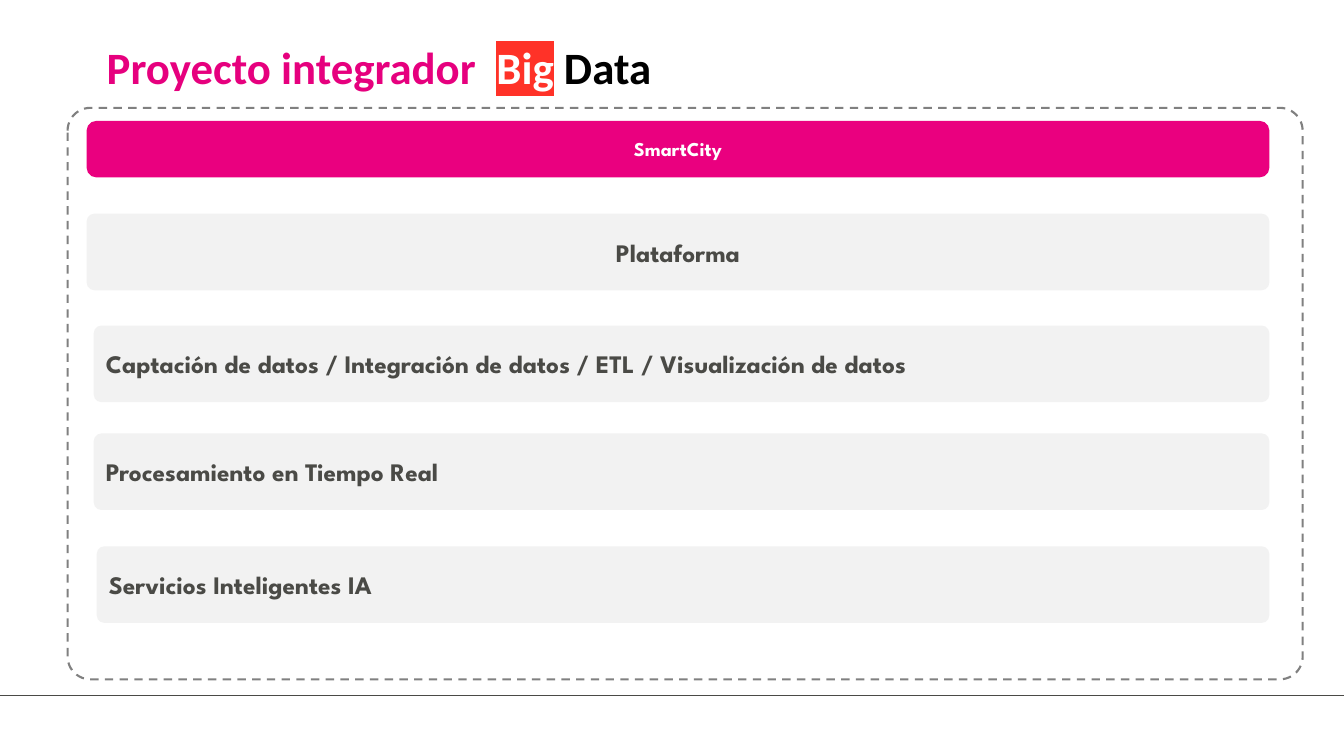
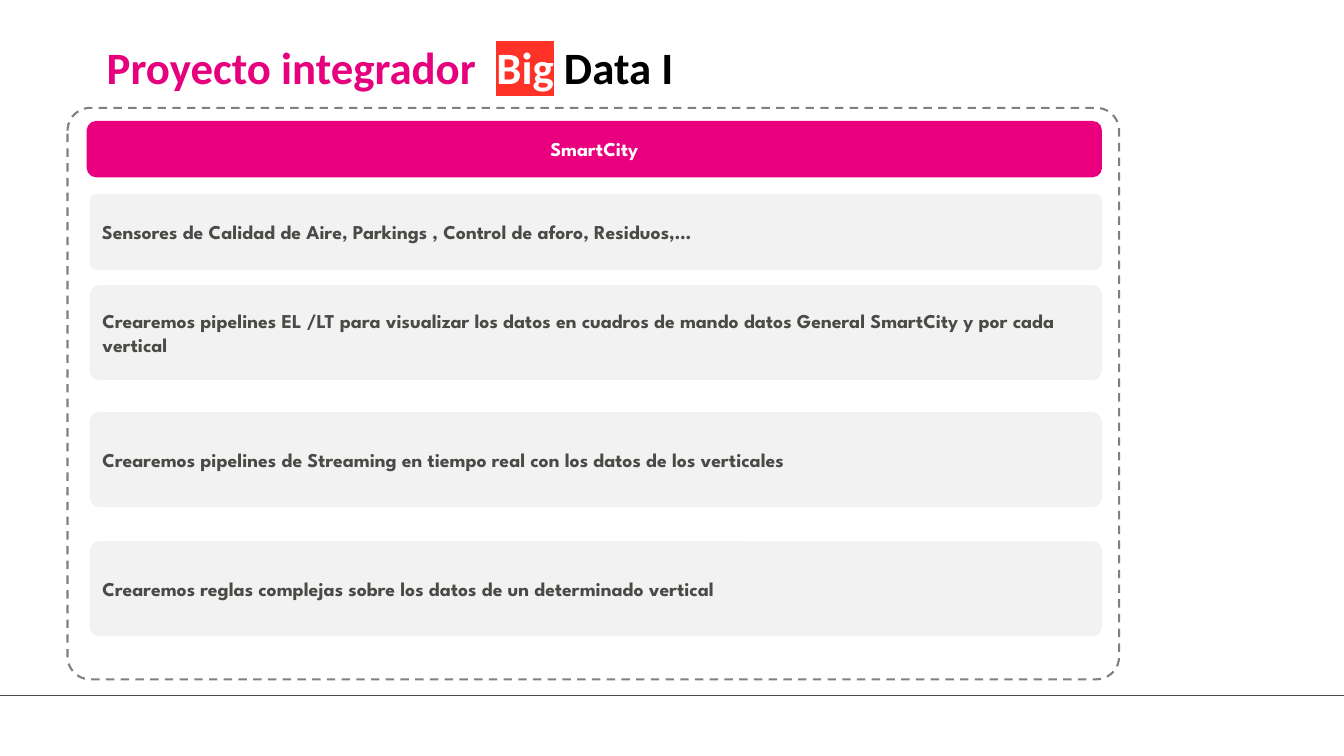
from lxml import etree
from pptx import Presentation
from pptx.dml.color import RGBColor
from pptx.enum.dml import MSO_LINE
from pptx.enum.shapes import MSO_CONNECTOR, MSO_SHAPE
from pptx.enum.text import MSO_ANCHOR, PP_ALIGN
from pptx.oxml.ns import qn
from pptx.util import Inches, Pt

ROUNDED = MSO_SHAPE.ROUNDED_RECTANGLE
LEFT, CENTER = PP_ALIGN.LEFT, PP_ALIGN.CENTER
COLORS = {
    "title": "E6007E",
    "band": "EA007F",
    "highlight": "FF3228",
    "white": "FFFFFF",
    "black": "000000",
    "bar": "F2F2F2",
    "text": "4A4A46",
    "frame": "808080",
    "rule": "4A4A46",
}
TITLE_FONT, BODY_FONT = "Calibri", "League Spartan"


def rgb(name):
    return RGBColor.from_string(COLORS[name])


def add_bar(s, box, radius, fill, text, size, color, align):
    """Add a rounded bar with one bold paragraph."""
    sp = s.shapes.add_shape(ROUNDED, *[Inches(v) for v in box])
    sp.shadow.inherit = False
    sp.adjustments[0] = radius
    sp.fill.solid()
    sp.fill.fore_color.rgb = rgb(fill)
    sp.line.fill.background()
    tf = sp.text_frame
    tf.word_wrap = True
    tf.vertical_anchor = MSO_ANCHOR.MIDDLE
    p = tf.paragraphs[0]
    p.text = text
    p.alignment = align
    p.font.name, p.font.size, p.font.bold = BODY_FONT, Pt(size), True
    p.font.color.rgb = rgb(color)


# Bars: left, top, height, alignment, text
SLIDES = [
    {
        "title_end": " Data", "frame_width": 12.25, "right": 12.59, "size": 18,
        "bars": [
            (0.86, 2.12, 0.76, CENTER, "Plataforma"),
            (0.93, 3.23, 0.76, LEFT,
             "Captación de datos / Integración de datos / ETL / Visualización de datos"),
            (0.93, 4.3, 0.76, LEFT, "Procesamiento en Tiempo Real"),
            (0.96, 5.42, 0.76, LEFT, "Servicios Inteligentes IA"),
        ],
    },
    {
        "title_end": " Data I", "frame_width": 10.43, "right": 10.93, "size": 14,
        "bars": [
            (0.89, 1.92, 0.76, LEFT,
             "Sensores de Calidad de Aire, Parkings , Control de aforo, Residuos,…"),
            (0.89, 2.83, 0.94, LEFT,
             "Crearemos pipelines EL /LT para visualizar los datos en cuadros de mando "
             "datos General SmartCity y por cada vertical"),
            (0.89, 4.09, 0.94, LEFT,
             "Crearemos pipelines de Streaming en tiempo real con los datos de los verticales"),
            (0.89, 5.37, 0.94, LEFT,
             "Crearemos reglas complejas sobre los datos de un determinado vertical"),
        ],
    },
]

prs = Presentation()
prs.slide_width, prs.slide_height = Inches(13.33), Inches(7.5)

for data in SLIDES:
    s = prs.slides.add_slide(prs.slide_layouts[6])

    # Footer rule
    rule = s.shapes.add_connector(MSO_CONNECTOR.STRAIGHT, 0, Inches(6.9),
                                  prs.slide_width, Inches(6.9))
    rule.line.color.rgb = rgb("rule")
    rule.line.width = Pt(0.5)
    etree.SubElement(rule._element.spPr, qn("a:effectLst"))

    # Dashed frame
    frame = s.shapes.add_shape(ROUNDED, Inches(0.67), Inches(1.07),
                               Inches(data["frame_width"]), Inches(5.67))
    frame.shadow.inherit = False
    frame.adjustments[0] = 0.04
    frame.fill.background()
    frame.line.color.rgb = rgb("frame")
    frame.line.width = Pt(1.5)
    frame.line.dash_style = MSO_LINE.DASH

    # Title with one highlighted word
    title = s.shapes.add_textbox(Inches(0.96), Inches(0.34), Inches(6.31), Inches(0.64))
    title.text_frame.word_wrap = True
    p = title.text_frame.paragraphs[0]
    p.font.name, p.font.size, p.font.bold = TITLE_FONT, Pt(32), True
    for text, color, mark in [("Proyecto integrador  ", "title", None),
                              ("Big", "white", "highlight"),
                              (data["title_end"], "black", None)]:
        r = p.add_run()
        r.text = text
        r.font.color.rgb = rgb(color)
        if mark:
            highlight = etree.SubElement(r.font._element, qn("a:highlight"))
            etree.SubElement(highlight, qn("a:srgbClr"), val=COLORS[mark])

    # Heading band and content bars
    add_bar(s, (0.86, 1.2, data["right"] - 0.86, 0.56), 0.167, "band",
            "SmartCity", 14, "white", CENTER)
    for left, top, height, align, text in data["bars"]:
        add_bar(s, (left, top, data["right"] - left, height), 0.1, "bar",
                text, data["size"], "text", align)

prs.save("out.pptx")
